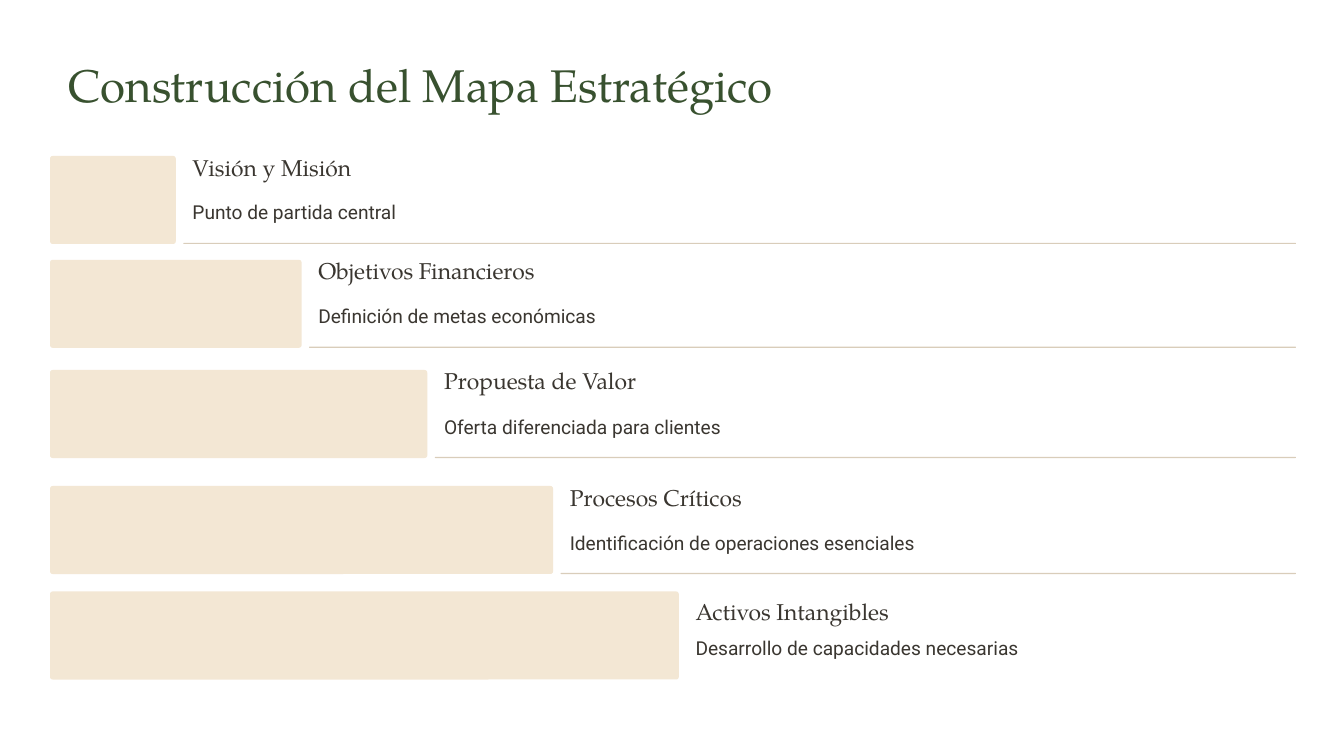
from pptx import Presentation
from pptx.dml.color import RGBColor
from pptx.enum.shapes import MSO_SHAPE as Shape
from pptx.util import Pt

TITLE = "Construcción del Mapa Estratégico"
STEPS = [
    ("Visión y Misión", "Punto de partida central", 126.2, -2.8),
    ("Objetivos Financieros", "Definición de metas económicas", 210.3, -3.2),
    ("Propuesta de Valor", "Oferta diferenciada para clientes", 299.5, -3.2),
    ("Procesos Críticos", "Identificación de operaciones esenciales", 393.4, -2.8),
    ("Activos Intangibles", "Desarrollo de capacidades necesarias", 478.8, 4.5),
]
SERIF, SANS = "TeX Gyre Pagella", "Roboto"
GREEN, INK, SAND, RULE = "38512F", "3A3630", "F3E7D4", "D9CDBA"
LEFT, RIGHT = 40.5, 1049
BAR_STEP, BAR_HEIGHT = 101.8, 71.3
RULE_GAP, RULE_HEIGHT, TEXT_GAP = 6.1, 0.9, 13.5
HEADING_WIDTH, DETAIL_WIDTH, DETAIL_OFFSET = 184, 300, 30


def color(value):
    return RGBColor.from_string(value)


def add_text(page, text, left, top, width, spacing, size, face, ink):
    box = page.shapes.add_textbox(Pt(left), Pt(top), Pt(width), Pt(spacing))
    frame = box.text_frame
    frame.margin_left = frame.margin_right = frame.margin_top = frame.margin_bottom = 0
    frame.word_wrap = True
    frame.text = text
    para = frame.paragraphs[0]
    para.line_spacing = Pt(spacing)
    span = para.runs[0]
    span.font.size = Pt(size)
    span.font.name = face
    span.font.color.rgb = color(ink)


def add_block(page, left, top, width, height, fill, rounding):
    block = page.shapes.add_shape(
        Shape.ROUNDED_RECTANGLE, Pt(left), Pt(top), Pt(width), Pt(height))
    block.adjustments[0] = rounding
    block.shadow.inherit = False
    block.fill.solid()
    block.fill.fore_color.rgb = color(fill)
    block.line.fill.background()


def main():
    deck = Presentation()
    deck.slide_width, deck.slide_height = Pt(1087.92), Pt(612)
    page = deck.slides.add_slide(deck.slide_layouts[6])
    add_text(page, TITLE, 55.4, 43.9, 611.3, 46.5, 37, SERIF, GREEN)

    for index, (heading, detail, top, offset) in enumerate(STEPS, 1):
        bar_width = BAR_STEP * index
        bar_right = LEFT + bar_width
        text_left = bar_right + TEXT_GAP
        add_block(page, LEFT, top, bar_width, BAR_HEIGHT, SAND, 0.03)
        add_text(page, heading, text_left, top + offset, HEADING_WIDTH,
                 23, 18.5, SERIF, INK)
        add_text(page, detail, text_left, top + DETAIL_OFFSET, DETAIL_WIDTH,
                 25, 15.5, SANS, INK)
        if index < len(STEPS):
            rule_left = bar_right + RULE_GAP
            add_block(page, rule_left, top + BAR_HEIGHT - RULE_HEIGHT,
                      RIGHT - rule_left, RULE_HEIGHT, RULE, 0.5)

    deck.save("out.pptx")


if __name__ == "__main__":
    main()
